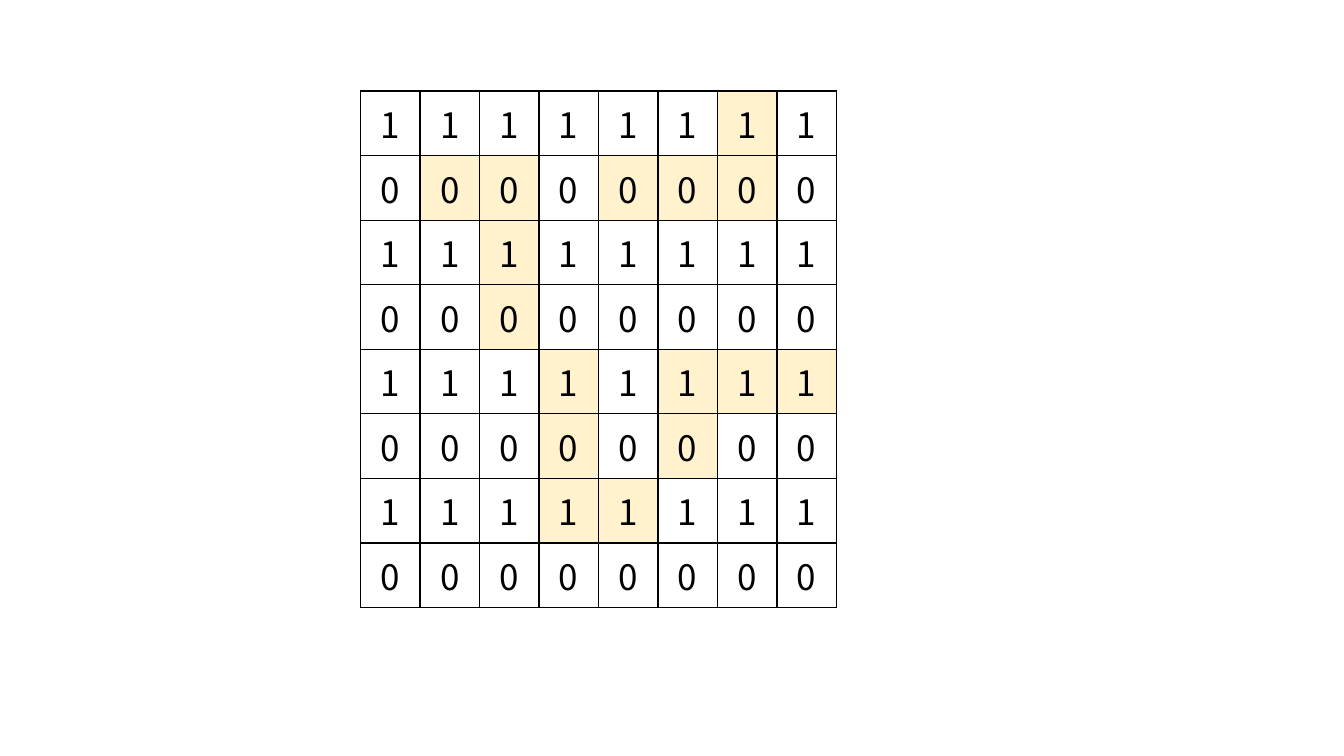
from lxml import etree
from pptx import Presentation
from pptx.dml.color import RGBColor
from pptx.enum.text import MSO_ANCHOR, PP_ALIGN
from pptx.oxml.ns import qn
from pptx.util import Pt

CENTER = PP_ALIGN.CENTER
MIDDLE = MSO_ANCHOR.MIDDLE
BLACK, WHITE, CREAM = "000000", "FFFFFF", "FFF2CC"
FONT = {"name": "Noto Sans CJK SC", "size": Pt(25), "bold": False}
CELL = {"margin_left": Pt(10), "margin_right": Pt(10), "margin_top": Pt(5),
        "margin_bottom": Pt(5), "vertical_anchor": MIDDLE}

# Cells marked # are highlighted
MARKS = [
    "......#.",
    ".##.###.",
    "..#.....",
    "..#.....",
    "...#.###",
    "...#.#..",
    "...##...",
    "........",
]


def color(hex_code):
    return RGBColor.from_string(hex_code)


def set_format(target, values):
    for name, value in values.items():
        setattr(target, name, value)


def add_borders(cell, hex_code, width):
    tc_pr = cell._tc.get_or_add_tcPr()
    for i, side in enumerate(("a:lnL", "a:lnR", "a:lnT", "a:lnB")):
        ln = etree.Element(qn(side), w=str(Pt(width)))
        fill = etree.SubElement(ln, qn("a:solidFill"))
        etree.SubElement(fill, qn("a:srgbClr"), val=hex_code)
        tc_pr.insert(i, ln)  # borders come before the fill


def add_bit_grid(s, left, top, width, height):
    rows, cols = len(MARKS), len(MARKS[0])
    table = s.shapes.add_table(rows, cols, Pt(left), Pt(top),
                               Pt(width), Pt(height)).table
    set_format(table, {"first_row": False, "horz_banding": False})
    for col in table.columns:
        col.width = Pt(width / cols)
    for r, row in enumerate(table.rows):
        row.height = Pt(height / rows)
        for cell, mark in zip(row.cells, MARKS[r]):
            # Rows alternate between ones and zeros
            cell.text = "0" if r % 2 else "1"
            set_format(cell, CELL)
            p = cell.text_frame.paragraphs[0]
            p.alignment = CENTER
            font = p.runs[0].font
            set_format(font, FONT)
            font.color.rgb = color(BLACK)
            cell.fill.solid()
            cell.fill.fore_color.rgb = color(CREAM if mark == "#" else WHITE)
            add_borders(cell, BLACK, 1)


def main():
    prs = Presentation()
    prs.slide_width, prs.slide_height = Pt(960), Pt(540)
    s = prs.slides.add_slide(prs.slide_layouts[6])
    add_bit_grid(s, 257.5, 65, 340, 340)
    prs.save("out.pptx")


if __name__ == "__main__":
    main()
